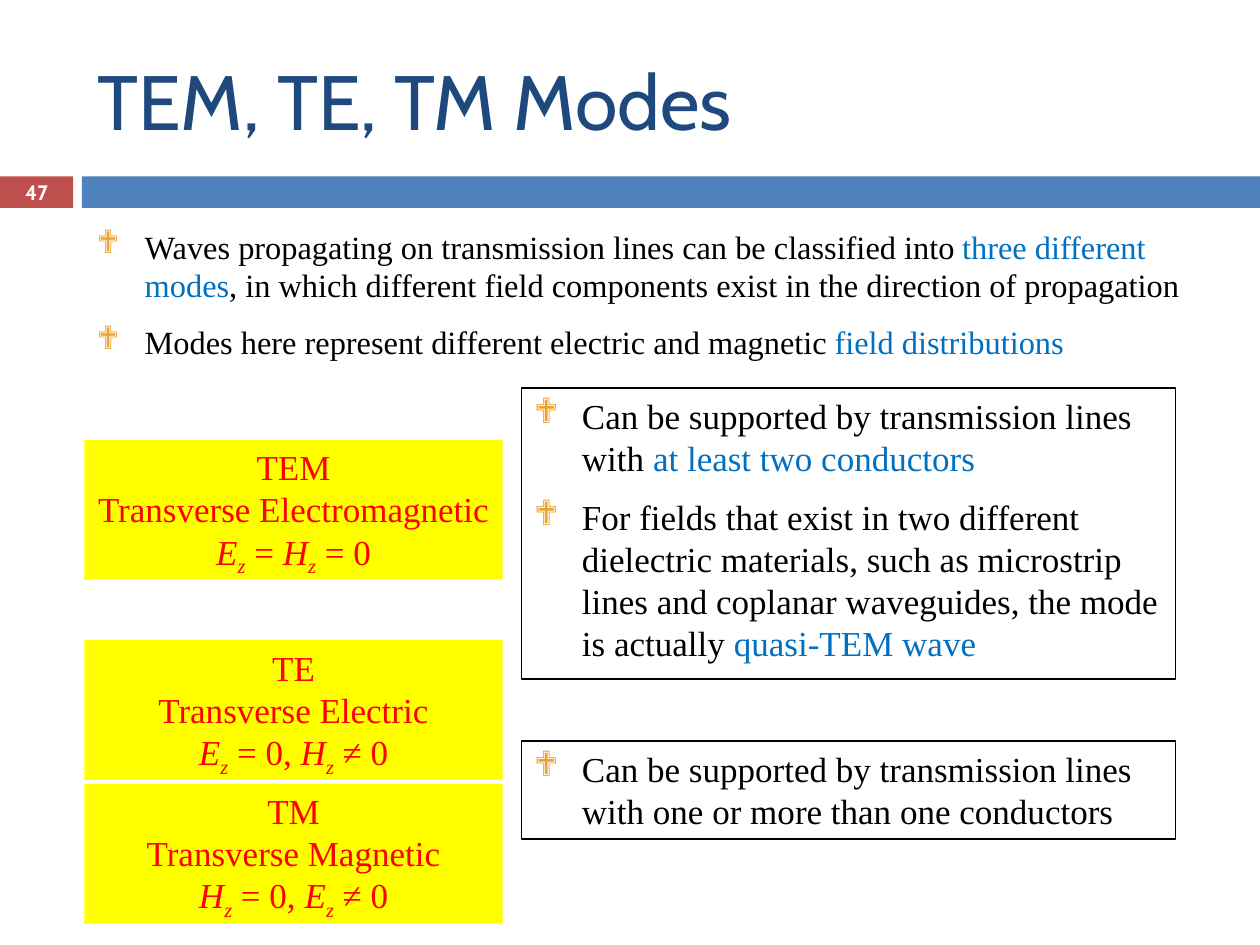
"""Build the slide on TEM, TE and TM transmission line modes."""
from lxml import etree
from pptx import Presentation
from pptx.dml.color import RGBColor
from pptx.enum.shapes import MSO_SHAPE
from pptx.enum.text import MSO_ANCHOR, PP_ALIGN
from pptx.oxml.ns import qn
from pptx.util import Inches, Pt

RECTANGLE = MSO_SHAPE.RECTANGLE
TOP, MIDDLE = MSO_ANCHOR.TOP, MSO_ANCHOR.MIDDLE
LEFT, CENTER = PP_ALIGN.LEFT, PP_ALIGN.CENTER
HEADING_FONT, BODY_FONT = "Cabin", "Times New Roman"
COLORS = {
    "title": "1F497D", "number": "C0504D", "band": "4F81BD", "white": "FFFFFF",
    "body": "000000", "key": "0070C0", "bullet": "F0A22E",
    "mode": "FF0000", "mode_fill": "FFFF00",
}
MARGIN = 0.67
MODE_WIDTH, MODE_HEIGHT = 3.32, 1.11
NOTE_LEFT, NOTE_WIDTH = 4.14, 5.19


def add_block(left, top, width, height, fill=None, line=None):
    block = slide.shapes.add_shape(
        RECTANGLE, Inches(left), Inches(top), Inches(width), Inches(height))
    block.shadow.inherit = False
    if fill:
        block.fill.solid()
        block.fill.fore_color.rgb = RGBColor.from_string(COLORS[fill])
    else:
        block.fill.background()
    if line:
        block.line.color.rgb = RGBColor.from_string(COLORS[line])
        block.line.width = Pt(0.75)
    else:
        block.line.fill.background()
    block.text_frame.word_wrap = True
    block.text_frame.vertical_anchor = TOP
    return block.text_frame


def style_run(run, size, color, font=BODY_FONT):
    run.font.size = Pt(size)
    run.font.name = font
    run.font.color.rgb = RGBColor.from_string(COLORS[color])


deck = Presentation()
deck.slide_width, deck.slide_height = Inches(10), Inches(7.5)
slide = deck.slides.add_slide(deck.slide_layouts.get_by_name("Title Only"))

title = slide.shapes.title
title.left, title.top = Inches(MARGIN), Inches(0.25)
title.width, title.height = Inches(8.92), Inches(1.08)
title.text_frame.text = "TEM, TE, TM Modes"
title.text_frame.vertical_anchor = MIDDLE
heading = title.text_frame.paragraphs[0]
heading.alignment = LEFT
style_run(heading.runs[0], 44, "title", HEADING_FONT)

add_block(0.65, 1.4, 9.35, 0.25, "band")
page = add_block(0, 1.4, 0.58, 0.25, "number")
page.text = "47"
page.vertical_anchor = MIDDLE
page.margin_top = page.margin_bottom = 0
page.paragraphs[0].alignment = CENTER
style_run(page.paragraphs[0].runs[0], 11.9, "white", HEADING_FONT)
page.paragraphs[0].runs[0].font.bold = True

notes = [
    (MARGIN, 1.75, 9.08, 1.25, None, 18.5, [
        [("Waves propagating on transmission lines can be classified into ", "body"),
         ("three different modes", "key"),
         (", in which different field components exist in the direction of propagation",
          "body")],
        [("Modes here represent different electric and magnetic ", "body"),
         ("field distributions", "key")]]),
    (NOTE_LEFT, 3.08, NOTE_WIDTH, 2.31, "body", 20, [
        [("Can be supported by transmission lines with ", "body"),
         ("at least two conductors", "key")],
        [("For fields that exist in two different dielectric materials, such as "
          "microstrip lines and coplanar waveguides, the mode is actually ", "body"),
         ("quasi-TEM wave", "key")]]),
    (NOTE_LEFT, 5.88, NOTE_WIDTH, 0.78, "body", 20, [
        [("Can be supported by transmission lines with one or more than one conductors",
          "body")]]),
]
for left, top, width, height, line, size, points in notes:
    frame = add_block(left, top, width, height, line=line)
    for index, pieces in enumerate(points):
        point = frame.add_paragraph() if index else frame.paragraphs[0]
        point.alignment = LEFT
        point.space_before = Pt(10 if index else 0)
        props = point._p.get_or_add_pPr()
        props.set("marL", str(Inches(0.38)))
        props.set("indent", str(-Inches(0.38)))
        bullet_color = etree.SubElement(props, qn("a:buClr"))
        etree.SubElement(bullet_color, qn("a:srgbClr"), val=COLORS["bullet"])
        etree.SubElement(props, qn("a:buFont"), typeface="Wingdings")
        etree.SubElement(props, qn("a:buChar"), char="❖")
        for words, color in pieces:
            run = point.add_run()
            run.text = words
            style_run(run, size, color)

modes = [
    (3.49, "TEM", "Transverse Electromagnetic", ["E", "z", " = ", "H", "z", " = 0"]),
    (5.08, "TE", "Transverse Electric", ["E", "z", " = 0, ", "H", "z", " ≠ 0"]),
    (6.22, "TM", "Transverse Magnetic", ["H", "z", " = 0, ", "E", "z", " ≠ 0"]),
]
for top, short_name, full_name, condition in modes:
    frame = add_block(MARGIN, top, MODE_WIDTH, MODE_HEIGHT, "mode_fill")
    name = frame.paragraphs[0]
    name.add_run().text = short_name
    name.add_line_break()
    name.add_run().text = full_name
    formula = frame.add_paragraph()
    for symbol in condition:
        run = formula.add_run()
        run.text = symbol
        run.font.italic = symbol in ("E", "H", "z")
        if symbol == "z":
            run.font._element.set("baseline", "-25000")
    for paragraph in frame.paragraphs:
        paragraph.alignment = CENTER
        for run in paragraph.runs:
            style_run(run, 20, "mode")

deck.save("out.pptx")
